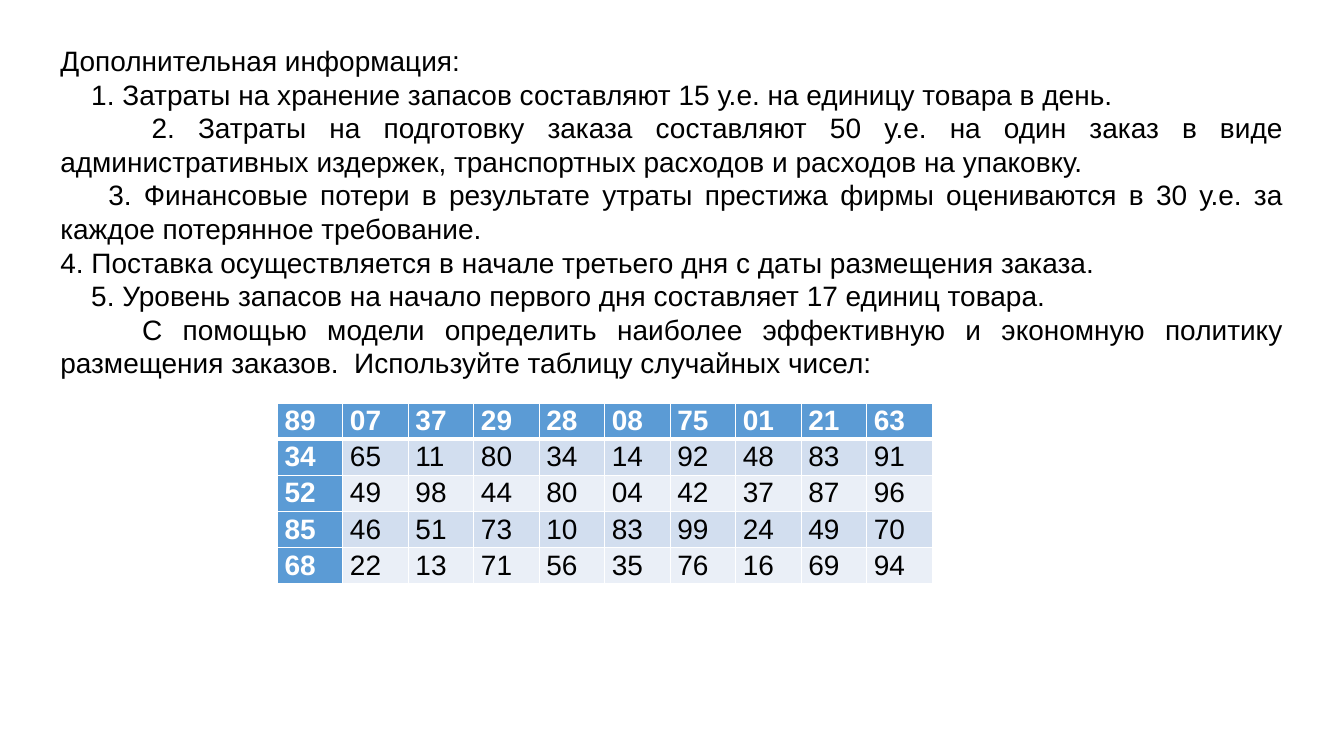
"""Build the slide with the stock-control conditions and the random number table."""
from lxml.etree import SubElement
from pptx import Presentation
from pptx.dml.color import RGBColor
from pptx.enum.text import MSO_AUTO_SIZE as AutoSize, PP_ALIGN as Align
from pptx.oxml.ns import qn
from pptx.util import Cm, Pt

COLOURS = {
    "text": "000000",
    "white": "FFFFFF",
    "header": "5B9BD5",
    "odd_band": "D2DEEF",
    "even_band": "EAEFF7",
}
FONT = {"name": "Arial", "size": Pt(20)}
CONDITIONS = [
    ("Дополнительная информация:", Align.LEFT, 0),
    ("1. Затраты на хранение запасов составляют 15 у.е. на единицу товара в день.",
     Align.LEFT, 0.78),
    ("2. Затраты на подготовку заказа составляют 50 у.е. на один заказ в виде "
     "административных издержек, транспортных расходов и расходов на упаковку.",
     Align.JUSTIFY, 2.3),
    ("3. Финансовые потери в результате утраты престижа фирмы оцениваются в 30 у.е. "
     "за каждое потерянное требование.", Align.JUSTIFY, 1.21),
    ("4. Поставка осуществляется в начале третьего дня с даты размещения заказа.",
     Align.LEFT, 0),
    ("5. Уровень запасов на начало первого дня составляет 17 единиц товара.",
     Align.JUSTIFY, 0.78),
    ("С помощью модели определить наиболее эффективную и экономную политику "
     "размещения заказов.  Используйте таблицу случайных чисел:",
     Align.JUSTIFY, 2.06),
]
RANDOM_NUMBERS = [
    "89 07 37 29 28 08 75 01 21 63",
    "34 65 11 80 34 14 92 48 83 91",
    "52 49 98 44 80 04 42 37 87 96",
    "85 46 51 73 10 83 99 24 49 70",
    "68 22 13 71 56 35 76 16 69 94",
]
COLUMN_WIDTH, ROW_HEIGHT = 1.65, 0.91


def apply_format(target, values):
    """Set every attribute named in values on the target."""
    for name, value in values.items():
        setattr(target, name, value)


def write_span(para, text, colour, bold=False):
    """Add one formatted run to a paragraph."""
    span = para.add_run()
    span.text = text
    apply_format(span.font, {**FONT, "bold": bold})
    span.font.color.rgb = RGBColor.from_string(COLOURS[colour])


def add_conditions(page):
    """Add the text box with the listed conditions."""
    box = page.shapes.add_textbox(Cm(1.27), Cm(0.97), Cm(31.32), Cm(9.65))
    frame = box.text_frame
    apply_format(frame, {"word_wrap": True, "auto_size": AutoSize.SHAPE_TO_FIT_TEXT})
    for index, (text, alignment, indent) in enumerate(CONDITIONS):
        para = frame.add_paragraph() if index else frame.paragraphs[0]
        para.alignment = alignment
        para._p.get_or_add_pPr().set("indent", str(Cm(indent)))
        write_span(para, text, "text")


def draw_borders(cell, widths):
    """Draw white cell borders, with widths in points for each side."""
    properties = cell._tc.get_or_add_tcPr()
    for position, (side, width) in enumerate(widths.items()):
        line = SubElement(properties, qn(f"a:ln{side}"), w=str(Pt(width)))
        fill = SubElement(line, qn("a:solidFill"))
        SubElement(fill, qn("a:srgbClr"), val=COLOURS["white"])
        properties.insert(position, line)


def fill_cell(cell, text, row, column):
    """Write one number and style its cell by its place in the grid."""
    heading = row == 0 or column == 0
    band = "odd_band" if row % 2 else "even_band"
    apply_format(cell, {"margin_left": Cm(0.18), "margin_right": Cm(0.18),
                        "margin_top": 0, "margin_bottom": 0})
    cell.fill.solid()
    cell.fill.fore_color.rgb = RGBColor.from_string(
        COLOURS["header" if heading else band])
    draw_borders(cell, {"L": 1, "R": 1, "T": 3 if row == 1 else 1,
                        "B": 3 if row == 0 else 1})
    para = cell.text_frame.paragraphs[0]
    apply_format(para, {"alignment": Align.JUSTIFY, "line_spacing": 1.07})
    write_span(para, text, "white" if heading else "text", heading)


def add_number_table(page):
    """Add the table of random numbers."""
    grid = [line.split() for line in RANDOM_NUMBERS]
    rows, columns = len(grid), len(grid[0])
    table = page.shapes.add_table(
        rows, columns, Cm(6.99), Cm(10.16),
        Cm(COLUMN_WIDTH * columns), Cm(ROW_HEIGHT * rows)).table
    apply_format(table, {"first_row": True, "first_col": True, "horz_banding": True})
    for row, numbers in enumerate(grid):
        for column, number in enumerate(numbers):
            fill_cell(table.cell(row, column), number, row, column)


def main():
    """Create the deck and save it."""
    deck = Presentation()
    apply_format(deck, {"slide_width": Cm(33.87), "slide_height": Cm(19.05)})
    page = deck.slides.add_slide(deck.slide_layouts[6])
    add_conditions(page)
    add_number_table(page)
    deck.save("out.pptx")


if __name__ == "__main__":
    main()
